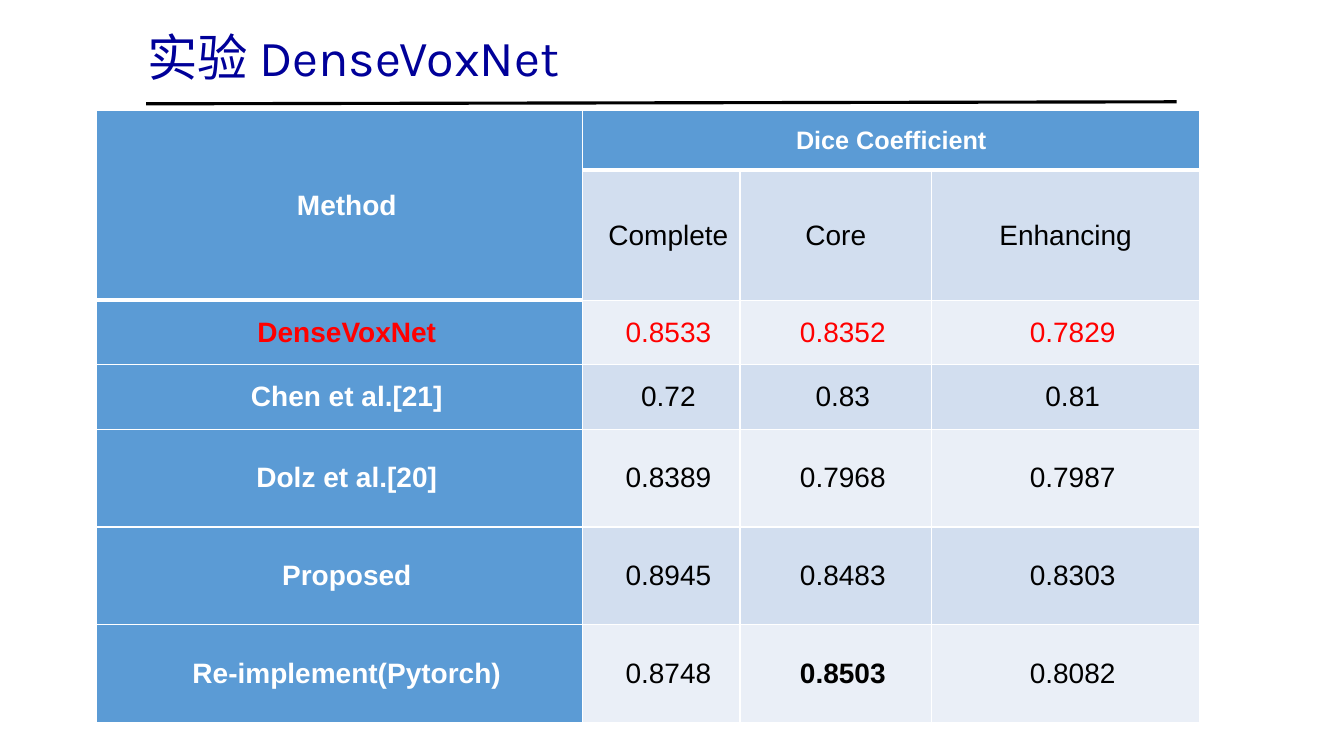
from pptx import Presentation, util as u
from pptx.dml.color import RGBColor
from pptx.enum import shapes, text
from pptx.oxml import parse_xml
from pptx.oxml.ns import nsdecls

TITLE = "实验 DenseVoxNet"
ROWS = [
    ("Method", "Dice Coefficient", "", ""),
    ("", "Complete", "Core", "Enhancing"),
    ("DenseVoxNet", "0.8533", "0.8352", "0.7829"),
    ("Chen et al.[21]", "0.72", "0.83", "0.81"),
    ("Dolz et al.[20]", "0.8389", "0.7968", "0.7987"),
    ("Proposed", "0.8945", "0.8483", "0.8303"),
    ("Re-implement(Pytorch)", "0.8748", "0.8503", "0.8082"),
]
WIDTHS = (4.82, 1.56, 1.9, 2.66)
HEIGHTS = (0.59, 1.29, 0.64, 0.64, 0.97, 0.97, 0.97)
HEAD, BANDS = "5B9BD5", ("EAEFF7", "D2DEEF")
OURS, BEST = 2, (6, 2)
FLUSH = ("Dice Coefficient", "Core", "Enhancing")
CELL = dict(margin_left=u.Inches(0.07), margin_right=u.Inches(0.07),
            margin_top=0, margin_bottom=0,
            vertical_anchor=text.MSO_ANCHOR.MIDDLE)


def assign(item, vals):
    for key, val in vals.items():
        setattr(item, key, val)


def rgb(code):
    return RGBColor.from_string(code)


def style(font, name, size, color, bold=False):
    assign(font, dict(name=name, size=u.Pt(size), bold=bold))
    font.color.rgb = rgb(color)


def border(cell, sides):
    """Add white edges; sides maps L, R, T, B to points."""
    props = cell._tc.get_or_add_tcPr()
    for side, width in sides.items():
        props.append(parse_xml(
            f'<a:ln{side} {nsdecls("a")} w="{u.Pt(width)}"><a:solidFill>'
            f'<a:srgbClr val="FFFFFF"/></a:solidFill></a:ln{side}>'))


def add_title(slide):
    title = slide.shapes.title
    assign(title, dict(left=u.Inches(1.36), top=u.Inches(0.21),
                       width=u.Inches(5.22), height=u.Inches(0.71)))
    frame = title.text_frame
    assign(frame, dict(text=TITLE, word_wrap=True,
                       auto_size=text.MSO_AUTO_SIZE.NONE,
                       vertical_anchor=text.MSO_ANCHOR.TOP))
    par = frame.paragraphs[0]
    par.alignment = text.PP_ALIGN.LEFT
    style(par.runs[0].font, "Karla", 36, "000099")


def add_rule(slide):
    ends = [u.Inches(n) for n in (1.45, 1.03, 11.67, 1.01)]
    rule = slide.shapes.add_connector(shapes.MSO_CONNECTOR.STRAIGHT, *ends)
    rule.line.width = u.Pt(2.25)
    rule.line.color.rgb = rgb("000000")
    rule._element.spPr.append(parse_xml(f'<a:effectLst {nsdecls("a")}/>'))


def fill_cell(cell, row, col, words):
    head = row == 0 or col == 0
    # The header ends below row 0, or below row 1 in the merged first column
    last = 1 if col == 0 else 0
    border(cell, dict(L=1, R=1, T=3 if row == last + 1 else 1,
                      B=3 if row <= last else 1))
    cell.fill.solid()
    cell.fill.fore_color.rgb = rgb(HEAD if head else BANDS[row % 2])
    assign(cell, CELL)
    if not words:
        return
    cell.text = words
    par = cell.text_frame.paragraphs[0]
    par.alignment = text.PP_ALIGN.CENTER
    if words not in FLUSH:
        par._p.get_or_add_pPr().set("indent", str(u.Inches(0.14)))
    color = "FF0000" if row == OURS else "FFFFFF" if head else "000000"
    style(par.runs[0].font, "Arial", 18 if row == 0 and col else 20,
          color, head or (row, col) == BEST)


def add_scores(slide):
    size = [u.Inches(n) for n in (0.96, 1.1, sum(WIDTHS), sum(HEIGHTS))]
    grid = slide.shapes.add_table(len(ROWS), len(WIDTHS), *size).table
    for col, width in zip(grid.columns, WIDTHS):
        col.width = u.Inches(width)
    for row, height in zip(grid.rows, HEIGHTS):
        row.height = u.Inches(height)
    grid.cell(0, 0).merge(grid.cell(1, 0))
    grid.cell(0, 1).merge(grid.cell(0, 3))
    for r, row in enumerate(ROWS):
        for c, words in enumerate(row):
            fill_cell(grid.cell(r, c), r, c, words)


def main():
    deck = Presentation()
    deck.slide_width, deck.slide_height = u.Inches(13.33), u.Inches(7.5)
    slide = deck.slides.add_slide(deck.slide_layouts[5])
    add_rule(slide)
    add_scores(slide)
    add_title(slide)
    deck.save("out.pptx")


if __name__ == "__main__":
    main()
